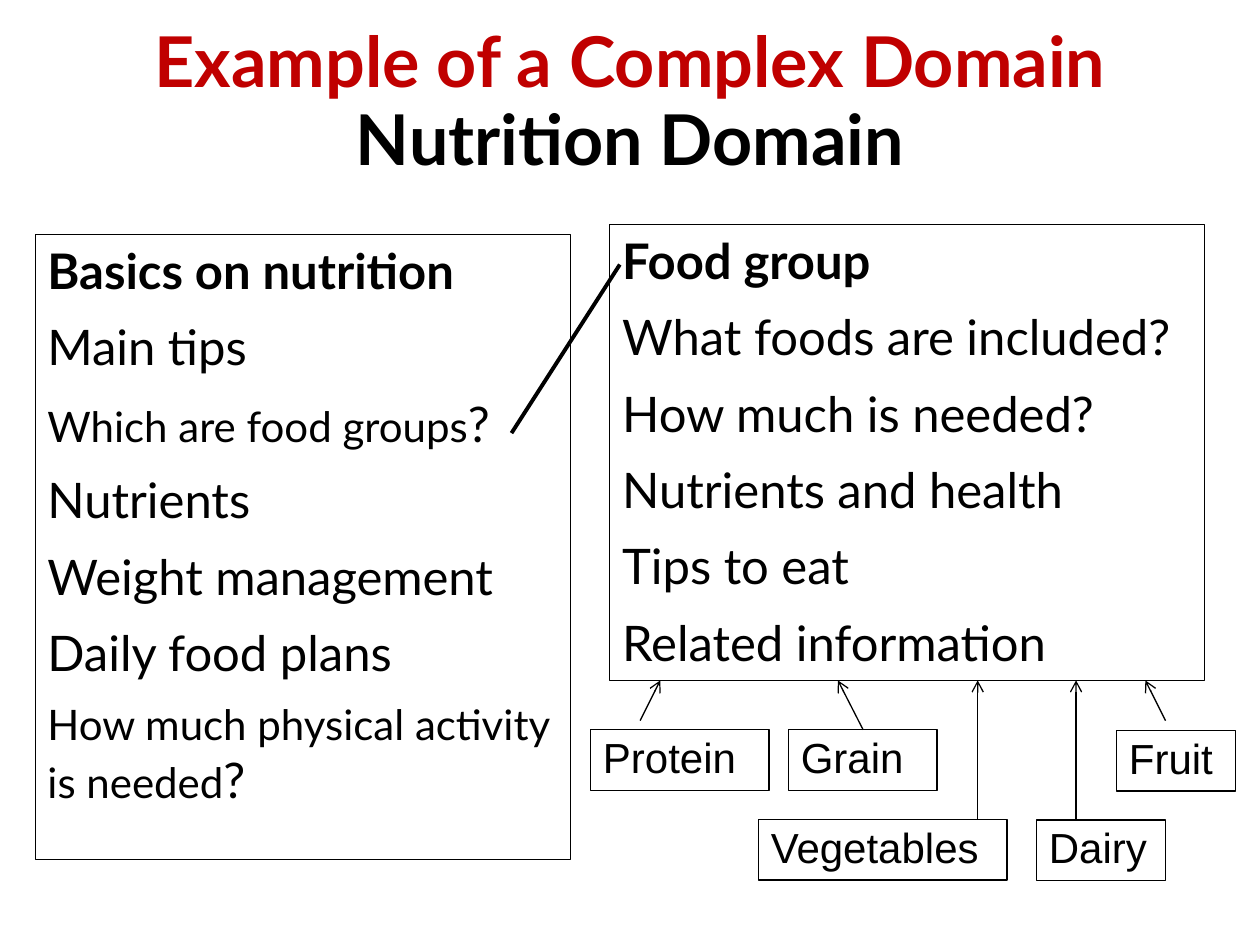
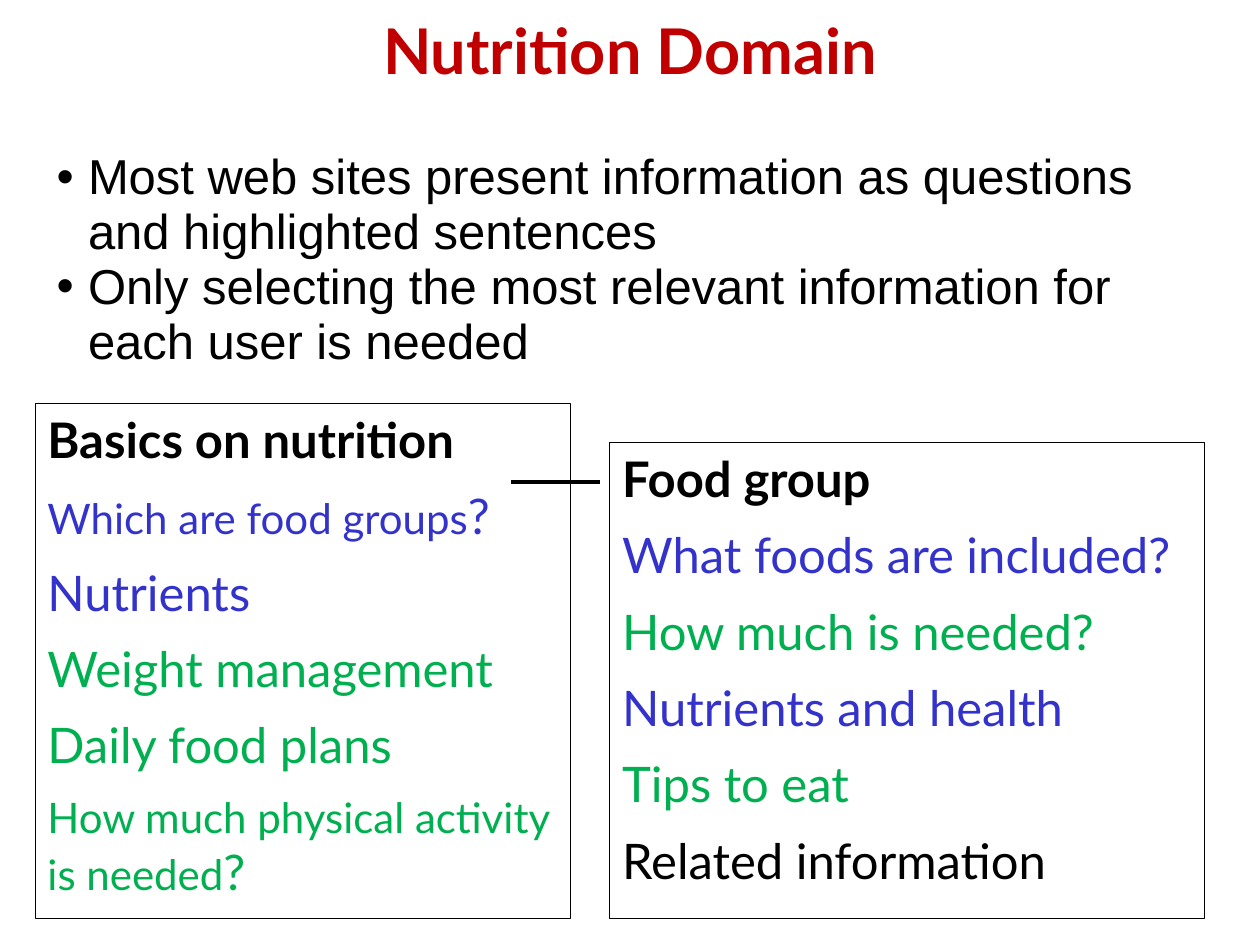
from lxml import etree
from pptx import Presentation
from pptx.dml.color import RGBColor
from pptx.enum.shapes import MSO_CONNECTOR, MSO_SHAPE
from pptx.enum.text import MSO_ANCHOR, PP_ALIGN
from pptx.oxml.ns import qn
from pptx.util import Pt

RECT, LINE = MSO_SHAPE.RECTANGLE, MSO_CONNECTOR.STRAIGHT
TOP, LEFT, CENTER = MSO_ANCHOR.TOP, PP_ALIGN.LEFT, PP_ALIGN.CENTER
BLACK, WHITE, RED, BLUE, GREEN = "000000", "FFFFFF", "C00000", "3333CC", "00B050"
HEAD, BODY = "Lato", "Arial"
TIGHT = 0.93
PAD = dict(margin_left=Pt(7.2), margin_right=Pt(7.2), margin_top=Pt(3.6), margin_bottom=Pt(3.6))

GROUPS = "Which are food groups?"
ACTIVE = "How much physical activity is needed?"
SMALL = {GROUPS, ACTIVE}
BASICS = "Basics on nutrition"
FOOD = "Food group"
ARROW_END = 388.8


def color(code):
    """Turn a hex string into a colour."""
    return RGBColor.from_string(code)


def assign(target, values):
    """Set each named value on the target."""
    for name, value in values.items():
        setattr(target, name, value)


class Deck:
    """Holds the style and the current slide."""

    def __init__(self):
        """Start a 10 by 7.5 inch deck."""
        self.file = Presentation()
        assign(self.file, dict(slide_width=Pt(720), slide_height=Pt(540)))
        self.slide = None

    def page(self):
        """Add a blank slide."""
        self.slide = self.file.slides.add_slide(self.file.slide_layouts[6])

    def frame(self, shape, **extra):
        """Prepare the text frame of a shape."""
        assign(shape.text_frame, dict(word_wrap=True, vertical_anchor=TOP, **{**PAD, **extra}))
        return shape.text_frame

    def para(self, frame, first, runs, face, **form):
        """Write one paragraph from (text, size, colour, bold) runs."""
        para = frame.paragraphs[0] if first else frame.add_paragraph()
        assign(para, dict(alignment=LEFT) | form)
        for text, size, code, bold in runs:
            run = para.add_run()
            run.text = text
            assign(run.font, dict(name=face, size=Pt(size), bold=bold))
            run.font.color.rgb = color(code)
        return para

    def text(self, box, **extra):
        """Add a text box and return its frame."""
        return self.frame(self.slide.shapes.add_textbox(*map(Pt, box)), **extra)

    def title(self, top, size, *lines):
        """Add centred title lines given as (text, colour)."""
        frame = self.text((36, top, 648, 1.14 * size * len(lines)), **dict.fromkeys(PAD, 0))
        for spot, (text, code) in enumerate(lines):
            self.para(frame, spot == 0, [(text, size, code, True)], HEAD,
                      alignment=CENTER, line_spacing=TIGHT)

    def rect(self, box, width, fill=None):
        """Add an outlined rectangle and return its frame."""
        shape = self.slide.shapes.add_shape(RECT, *map(Pt, box))
        shape.shadow.inherit = False
        if fill:
            shape.fill.solid()
            shape.fill.fore_color.rgb = color(fill)
        else:
            shape.fill.background()
        shape.line.color.rgb = color(BLACK)
        shape.line.width = Pt(width)
        return self.frame(shape)

    def panel(self, box, head, items):
        """Add a topic panel with a bold heading and (text, colour) items."""
        frame = self.rect(box, 0.5, WHITE)
        self.para(frame, True, [(head, 28, BLACK, True)], HEAD, space_after=Pt(10))
        for text, code in items:
            runs = [(text, 28, code, False)]
            if text in SMALL:
                runs = [(text[:-1], 24, code, False), (text[-1], 28, code, False)]
            self.para(frame, False, runs, HEAD, space_after=Pt(10))

    def label(self, text, left, top, width):
        """Add a boxed food label."""
        frame = self.rect((left, top, width, 34.6), 0.75)
        self.para(frame, True, [(text, 24, BLACK, False)], BODY, line_spacing=TIGHT)

    def link(self, start, end, width=2.25, arrow=False):
        """Draw a line, with an arrowhead at its end if asked."""
        line = self.slide.shapes.add_connector(LINE, *map(Pt, (*start, *end)))
        line.line.color.rgb = color(BLACK)
        line.line.width = Pt(width)
        if arrow:
            etree.SubElement(line.line._get_or_add_ln(), qn("a:tailEnd"), type="arrow")
        etree.SubElement(line._element.spPr, qn("a:effectLst"))

    def bullets(self, box, items):
        """Add a bulleted list."""
        frame = self.text(box)
        for spot, text in enumerate(items):
            para = self.para(frame, spot == 0, [(text, 28, BLACK, False)], BODY,
                             line_spacing=TIGHT)
            props = para._p.get_or_add_pPr()
            props.set("marL", str(Pt(18)))
            props.set("indent", str(-Pt(18)))
            etree.SubElement(props, qn("a:buFont"), typeface=BODY)
            etree.SubElement(props, qn("a:buChar"), char="•")


def domain(deck):
    """Build the slide of the whole domain."""
    deck.page()
    deck.title(14, 40, ("Example of a Complex Domain", RED), ("Nutrition Domain", BLACK))
    left = ("Main tips", GROUPS, "Nutrients", "Weight management", "Daily food plans", ACTIVE)
    right = ("What foods are included?", "How much is needed?", "Nutrients and health",
             "Tips to eat", "Related information")
    deck.panel((20, 134, 306, 357), BASICS, [(text, BLACK) for text in left])
    deck.panel((348.5, 128.2, 340, 260.6), FOOD, [(text, BLACK) for text in right])
    foods = (
        ("Protein", 337.5, 417, 102, (365.8, 411.8), 377.3),
        ("Grain", 450.5, 417, 85, (493.2, 417), 478.8),
        ("Vegetables", 433.4, 468.2, 142, (558.7, 468.5), 558.7),
        ("Dairy", 592.3, 468.5, 73.6, (614.9, 468.5), 614.9),
        ("Fruit", 638, 417.5, 68, (666, 411.8), 654.5),
    )
    for text, x, y, width, start, end in foods:
        deck.label(text, x, y, width)
        deck.link(start, (end, ARROW_END), 0.75, True)
    deck.link((292.3, 247.5), (354.2, 151.2))


def choice(deck):
    """Build the slide of the selected topics."""
    deck.page()
    deck.title(10.4, 36, ("Nutrition Domain", RED))
    deck.panel((20, 230.4, 306, 294.6), BASICS, (
        (GROUPS, BLUE), ("Nutrients", BLUE), ("Weight management", GREEN),
        ("Daily food plans", GREEN), (ACTIVE, GREEN)))
    deck.panel((348.5, 252.8, 340, 272.2), FOOD, (
        ("What foods are included?", BLUE), ("How much is needed?", GREEN),
        ("Nutrients and health", BLUE), ("Tips to eat", GREEN),
        ("Related information", BLACK)))
    deck.link((292.3, 275.5), (342.7, 275.5))
    deck.bullets((25.2, 82.8, 646.6, 154), (
        "Most web sites present information as questions and highlighted sentences",
        "Only selecting the most relevant information for each user is needed"))


def main():
    """Build and save the deck."""
    deck = Deck()
    domain(deck)
    choice(deck)
    deck.file.save("out.pptx")


if __name__ == "__main__":
    main()
